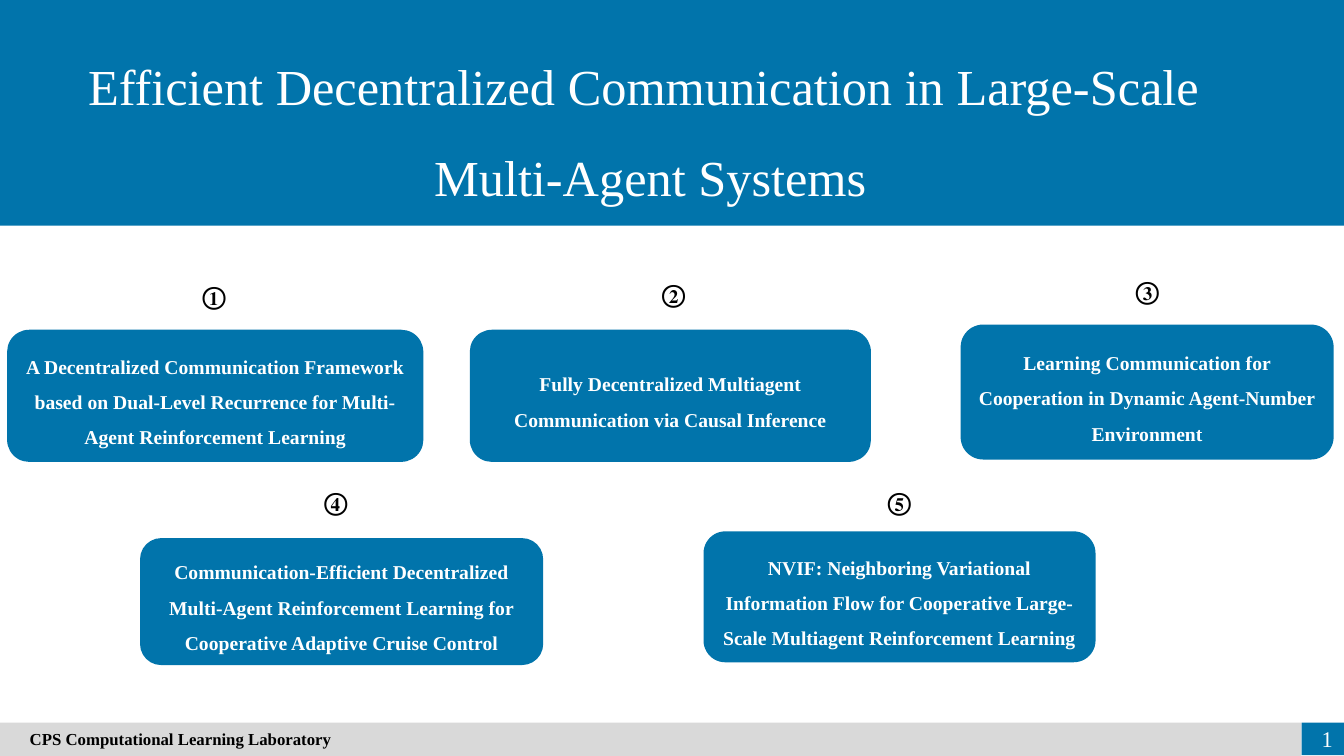
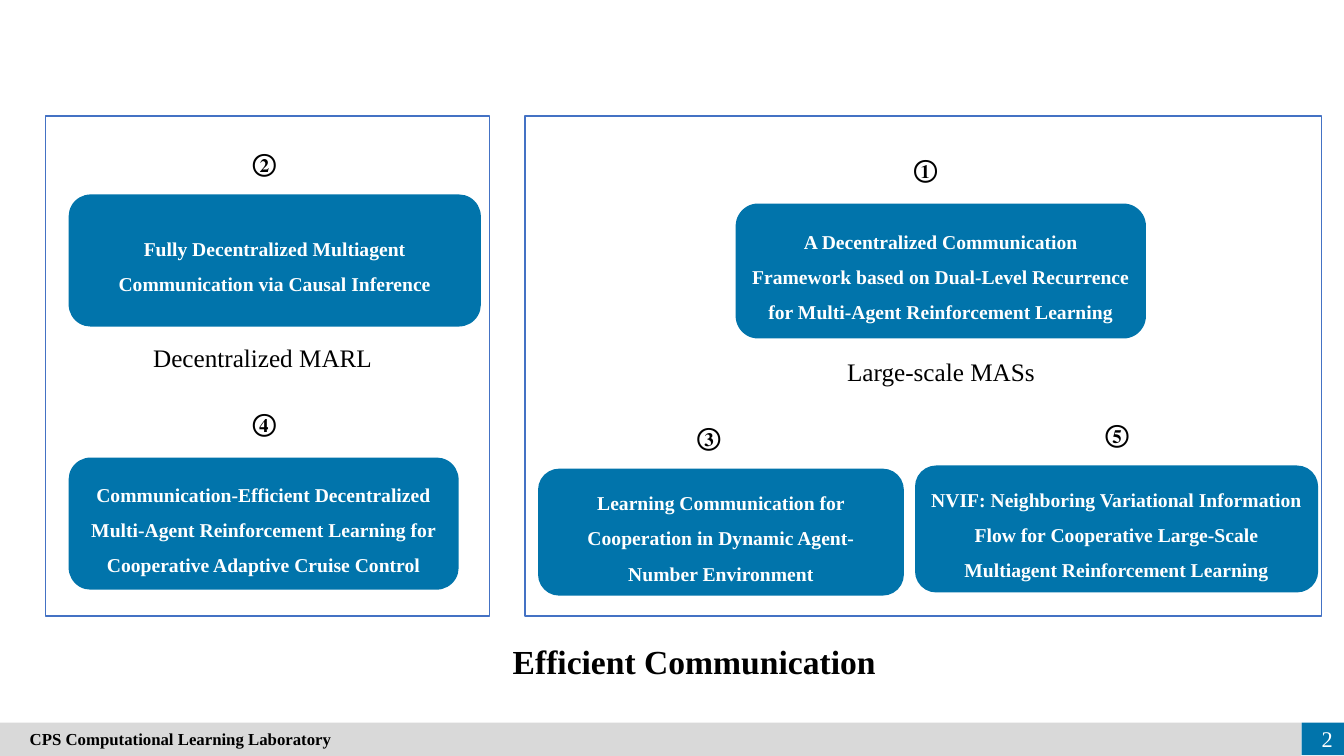
from pptx import Presentation
from pptx.dml.color import RGBColor
from pptx.enum.shapes import MSO_SHAPE
from pptx.enum.text import MSO_ANCHOR, MSO_AUTO_SIZE, PP_ALIGN
from pptx.oxml.ns import qn
from pptx.util import Cm, Pt

RECTANGLE = MSO_SHAPE.RECTANGLE
ROUNDED = MSO_SHAPE.ROUNDED_RECTANGLE
LEFT, CENTER, RIGHT = PP_ALIGN.LEFT, PP_ALIGN.CENTER, PP_ALIGN.RIGHT
TOP, MIDDLE = MSO_ANCHOR.TOP, MSO_ANCHOR.MIDDLE
NO_FIT = MSO_AUTO_SIZE.NONE

FONT = "Times New Roman"
COLORS = {
    "blue": "0174AB",
    "frame": "4472C4",
    "gray": "D9D9D9",
    "white": "FFFFFF",
    "black": "000000",
}
WIDTH, HEIGHT = 33.87, 19.05
FOOTER_TOP, FOOTER_WIDTH = 18.21, 32.8
TITLE_ONLY = 5


def write(box, text, size=18, color="black", bold=False, align=CENTER,
          spacing=1.0, anchor=TOP, wrap=True):
    frame = box.text_frame
    frame.word_wrap = wrap
    frame.auto_size = NO_FIT
    frame.vertical_anchor = anchor
    frame.text = text
    for para in frame.paragraphs:
        para.alignment = align
        para.line_spacing = spacing
        for span in para.runs:
            span.font.name = FONT
            span.font.size = Pt(size)
            span.font.bold = bold
            span.font.color.rgb = RGBColor.from_string(COLORS[color])


def add_block(page, place, kind=RECTANGLE, fill=None, line=None):
    block = page.shapes.add_shape(kind, *map(Cm, place))
    block.shadow.inherit = False
    if fill:
        block.fill.solid()
        block.fill.fore_color.rgb = RGBColor.from_string(COLORS[fill])
    else:
        block.fill.background()
    if line:
        block.line.color.rgb = RGBColor.from_string(COLORS[line])
        block.line.width = Pt(1)
    else:
        block.line.fill.background()
    return block


PAPERS = {
    "①": "A Decentralized Communication Framework based on Dual-Level "
         "Recurrence for Multi-Agent Reinforcement Learning",
    "②": "Fully Decentralized Multiagent Communication via Causal Inference",
    "③": "Learning Communication for Cooperation in Dynamic Agent-Number "
         "Environment",
    "④": "Communication-Efficient Decentralized Multi-Agent Reinforcement "
         "Learning for Cooperative Adaptive Cruise Control",
    "⑤": "NVIF: Neighboring Variational Information Flow for Cooperative "
         "Large-Scale Multiagent Reinforcement Learning",
}

PAGES = [
    {
        "title": "Efficient Decentralized Communication in Large-Scale \n"
                 "Multi-Agent Systems",
        "title_place": (0.86, 0.51, 31.06, 4.88),
        "title_format": {"size": 36, "color": "white", "spacing": 1.5},
        "bands": [(0, 0, WIDTH, 5.69)],
        "frames": [],
        "labels": [],
        "cards": [
            ("①", (4.85, 6.93), (0.18, 8.31, 10.49, 3.33)),
            ("②", (16.43, 6.88), (11.84, 8.31, 10.11, 3.33)),
            ("③", (28.37, 6.81), (24.21, 8.18, 9.4, 3.4)),
            ("④", (7.92, 12.12), (3.53, 13.56, 10.16, 3.2)),
            ("⑤", (22.12, 12.12), (17.73, 13.39, 9.88, 3.3)),
        ],
    },
    {
        "title": "Efficient Communication",
        "title_place": (8.53, 16.03, 17.93, 1.27),
        "title_format": {"size": 24, "bold": True},
        "bands": [],
        "frames": [(1.14, 2.92, 11.2, 12.6), (13.23, 2.92, 20.07, 12.6)],
        "labels": [
            ("Decentralized MARL", (2.06, 8.51, 9.12, 1.02)),
            ("Large-scale MASs", (17.96, 8.86, 11.51, 1.02)),
        ],
        "cards": [
            ("②", (6.12, 3.58), (1.73, 4.9, 10.39, 3.33)),
            ("④", (6.12, 10.13), (1.73, 11.53, 9.83, 3.33)),
            ("①", (22.78, 3.73), (18.54, 5.13, 10.34, 3.4)),
            ("③", (17.32, 10.49), (13.56, 11.81, 9.22, 3.2)),
            ("⑤", (27.61, 10.41), (23.06, 11.73, 10.16, 3.2)),
        ],
    },
]

deck = Presentation()
deck.slide_width, deck.slide_height = Cm(WIDTH), Cm(HEIGHT)

for number, content in enumerate(PAGES, 1):
    page = deck.slides.add_slide(deck.slide_layouts[TITLE_ONLY])

    for place in content["bands"]:
        add_block(page, place, fill="blue")
    for place in content["frames"]:
        add_block(page, place, line="frame")

    title = page.shapes.title
    title.left, title.top, title.width, title.height = map(
        Cm, content["title_place"])
    write(title, content["title"], **content["title_format"])
    page.shapes._spTree.append(title._element)

    for mark, corner, place in content["cards"]:
        card = add_block(page, place, kind=ROUNDED, fill="blue")
        write(card, PAPERS[mark], size=14, color="white", bold=True,
              spacing=1.5, anchor=MIDDLE)
        badge = page.shapes.add_textbox(*map(Cm, (*corner, 1.15, 1.02)))
        write(badge, mark, bold=True, align=LEFT, wrap=False)

    for text, place in content["labels"]:
        label = page.shapes.add_textbox(*map(Cm, place))
        write(label, text)

    footer = add_block(
        page, (0, FOOTER_TOP, FOOTER_WIDTH, HEIGHT - FOOTER_TOP), fill="gray")
    footer.text_frame.margin_left = Cm(0.75)
    write(footer, "CPS Computational Learning Laboratory", size=12,
          bold=True, align=LEFT, anchor=MIDDLE)

    corner_box = add_block(
        page, (FOOTER_WIDTH, FOOTER_TOP, WIDTH - FOOTER_WIDTH, 0.82),
        fill="blue")
    corner_box.text_frame.margin_left = 0
    corner_box.text_frame.margin_right = Cm(0.28)
    corner_box.text_frame.margin_top = corner_box.text_frame.margin_bottom = 0
    write(corner_box, str(number), size=16, color="white", align=RIGHT,
          anchor=MIDDLE)
    field = corner_box.text_frame.paragraphs[0].runs[0]._r
    field.tag = qn("a:fld")
    field.set("id", "{B6F15528-21DE-4FAA-801E-634DDDAF4B2B}")
    field.set("type", "slidenum")

deck.save("out.pptx")
